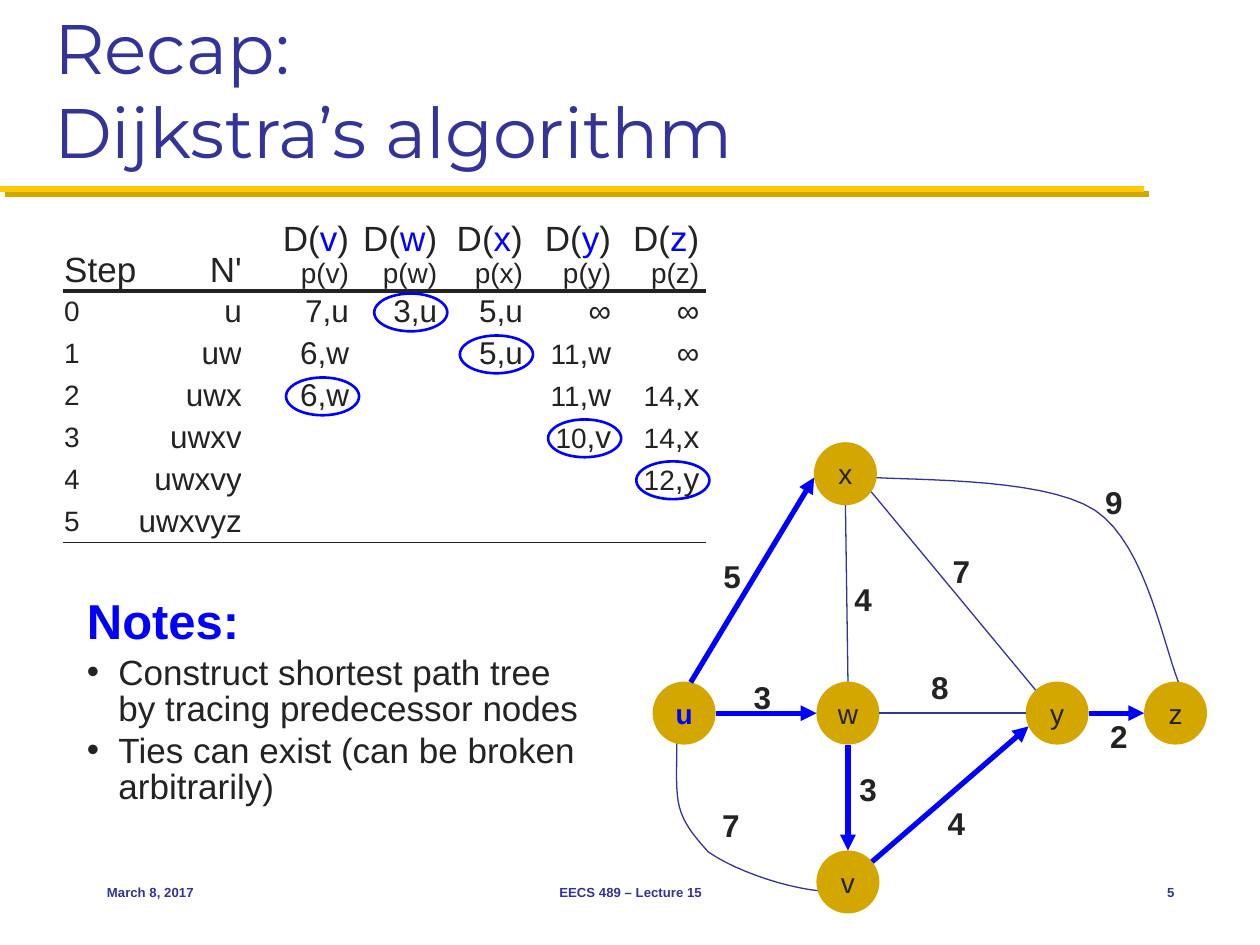
from dataclasses import dataclass
from math import cos, radians, sin

from lxml import etree
from pptx import Presentation
from pptx import util as u
from pptx.dml.color import RGBColor
from pptx.enum import shapes, text
from pptx.oxml.ns import qn

COLUMNS, ROWS = 100, 75
GRID = u.Inches(0.1)


@dataclass(frozen=True)
class Theme:
    ink: str = "232323"
    navy: str = "333399"
    blue: str = "0000FF"
    yellow: str = "FFCB05"
    gold: str = "D3A600"
    font: str = "Arial"
    title_font: str = "Montserrat"
    title: float = 40
    heading: float = 28
    body: float = 20
    cell: float = 18
    small: float = 16
    footer: float = 7.5


@dataclass(frozen=True)
class Box:
    """Region in grid units."""
    left: float
    top: float
    width: float
    height: float

    def point(self, x, y):
        return cells(self.left + x), cells(self.top + y)

    def frame(self):
        return *self.point(0, 0), cells(self.width), cells(self.height)


THEME = Theme()
LEFT, CENTER, RIGHT = text.PP_ALIGN.LEFT, text.PP_ALIGN.CENTER, text.PP_ALIGN.RIGHT

TABLE_WIDTHS = [5.8, 8.3, 9, 7, 6.8, 7, 7]
HEADER_ROW, BODY_ROW = 6.6, 3.33
STEPS = [
    ["0", "u", "7,u", "3,u", "5,u", "∞", "∞"],
    ["1", "uw", "6,w", "", "5,u", "11,w", "∞"],
    ["2", "uwx", "6,w", "", "", "11,w", "14,x"],
    ["3", "uwxv", "", "", "", "10,v", "14,x"],
    ["4", "uwxvy", "", "", "", "", "12,y"],
    ["5", "uwxvyz", "", "", "", "", ""],
]
CHOSEN_COLUMNS = [3, 4, 2, 5, 6]  # chosen entry in each step

RADIUS = 2.5
NODES = {"x": (15.3, 2.5), "u": (2.5, 21.5), "z": (41.5, 21.5),
         "v": (15.5, 34.9), "y": (32.1, 21.5), "w": (15.5, 21.5)}
# start node, angle at start, end node, angle at end
PLAIN_EDGES = [("x", 270, "w", 90), ("w", 0, "y", 180), ("x", -35, "y", 133)]
TREE_EDGES = [("u", 78, "x", 187), ("u", 0, "w", 180), ("w", 270, "v", 90),
              ("v", 40, "y", 205), ("y", 0, "z", 180)]
CURVES = [
    [(16.2, 2.7), (19.3, 3.1), (30.8, 2.6), (35.1, 5.4),
     (39.3, 8.2), (40.6, 16.7), (42, 19.7)],
    [(1.9, 22.6), (2, 28.5), (1.3, 29.1), (4.4, 32.5),
     (7.5, 34.7), (14.6, 36.5), (15.5, 35.2)],
]
WEIGHTS = [("3", 8.7, 20.2), ("4", 16.7, 12.4), ("5", 6.3, 10.6),
           ("3", 17.1, 27.5), ("7", 6.2, 30.4), ("4", 24.1, 30.2),
           ("8", 22.8, 19.4), ("2", 37, 23.3), ("7", 24.5, 10.2), ("9", 36.6, 4.7)]


def cells(count):
    return u.Emu(round(count * GRID))


def style(font, size, color=THEME.ink, bold=False, name=THEME.font):
    font.name, font.size, font.bold = name, u.Pt(size), bold
    font.color.rgb = RGBColor.from_string(color)


def write(paragraph, *parts, align=RIGHT):
    """Add (text, size, colour) runs to a paragraph."""
    paragraph.alignment = align
    for words, size, color in parts:
        run = paragraph.add_run()
        run.text = words
        style(run.font, size, color)


def add_label(slide, box, words, size, color=THEME.ink, align=CENTER):
    frame = slide.shapes.add_textbox(*box.frame()).text_frame
    frame.word_wrap = True
    frame.vertical_anchor = text.MSO_ANCHOR.MIDDLE
    frame.text = words
    frame.paragraphs[0].alignment = align
    style(frame.paragraphs[0].runs[0].font, size, color, bold=True)


def add_line(slide, start, end, color, width):
    line = slide.shapes.add_connector(shapes.MSO_CONNECTOR.STRAIGHT, *start, *end)
    line.line.color.rgb = RGBColor.from_string(color)
    line.line.width = u.Pt(width)
    effects = etree.SubElement(line._element.spPr, qn("a:effectLst"))
    return line, effects


def add_ellipse(slide, box, fill=None, outline=None):
    ellipse = slide.shapes.add_shape(shapes.MSO_SHAPE.OVAL, *box.frame())
    ellipse.shadow.inherit = False
    for part, color in ((ellipse.fill, fill), (ellipse.line.fill, outline)):
        if color:
            part.solid()
            part.fore_color.rgb = RGBColor.from_string(color)
        else:
            part.background()
    if outline:
        ellipse.line.width = u.Pt(1.5)
    return ellipse


def add_title(slide, box, rule_box):
    title = slide.shapes.title
    title.left, title.top, title.width, title.height = box.frame()
    frame = title.text_frame
    frame.text = "Recap:\vDijkstra’s algorithm"
    frame.auto_size = text.MSO_AUTO_SIZE.NONE
    frame.vertical_anchor = text.MSO_ANCHOR.BOTTOM
    frame.paragraphs[0].alignment = LEFT
    for run in frame.paragraphs[0].runs:
        style(run.font, THEME.title, THEME.navy, name=THEME.title_font)
    _, effects = add_line(slide, rule_box.point(0, 0), rule_box.point(rule_box.width, 0),
                          THEME.yellow, 3.5)
    shadow = etree.SubElement(effects, qn("a:outerShdw"), dist=str(u.Pt(4.2)),
                              dir="2700000", algn="ctr", rotWithShape="0")
    etree.SubElement(shadow, qn("a:srgbClr"), val=THEME.gold)


def fill_cell(cell, words, column, border):
    cell.margin_left = u.Inches(0)
    cell.margin_right = u.Inches(0.05 if column > 1 else 0)
    cell.margin_top = cell.margin_bottom = u.Inches(0.01)
    cell.vertical_anchor = text.MSO_ANCHOR.MIDDLE
    cell.fill.background()
    line = etree.Element(qn("a:lnB"), w=str(u.Pt(border)))
    color = etree.SubElement(etree.SubElement(line, qn("a:solidFill")), qn("a:srgbClr"))
    color.set("val", THEME.ink)
    cell._tc.get_or_add_tcPr().insert(0, line)
    if words:
        digits = words[:2] if words[:2].isdigit() else ""
        parts = [(digits, THEME.small, THEME.ink)] if digits else []
        parts.append((words[len(digits):], THEME.cell, THEME.ink))
        write(cell.text_frame.paragraphs[0], *parts, align=RIGHT if column else LEFT)


def add_step_table(slide, box):
    table = slide.shapes.add_table(len(STEPS) + 1, len(TABLE_WIDTHS), *box.frame()).table
    table.first_row = table.horz_banding = False
    for column, width in zip(table.columns, TABLE_WIDTHS):
        column.width = cells(width)
    for index, row in enumerate(table.rows):
        row.height = cells(BODY_ROW if index else HEADER_ROW)
    for column, name in enumerate(["Step", "N'", *"vwxyz"]):
        cell = table.cell(0, column)
        fill_cell(cell, "", column, 2.25)
        cell.vertical_anchor = text.MSO_ANCHOR.BOTTOM
        first = cell.text_frame.paragraphs[0]
        if column < 2:
            write(first, (name, THEME.body, THEME.ink), align=RIGHT if column else LEFT)
        else:
            write(first, ("D(", THEME.body, THEME.ink), (name, THEME.body, THEME.blue),
                  (")", THEME.body, THEME.ink))
            write(cell.text_frame.add_paragraph(), (f"p({name})", THEME.small, THEME.ink))
    for row, step in enumerate(STEPS, 1):
        for column, words in enumerate(step):
            fill_cell(table.cell(row, column), words, column, 1)
    for row, column in enumerate(CHOSEN_COLUMNS):
        left = box.left + sum(TABLE_WIDTHS[:column + 1]) - 5.5
        top = box.top + HEADER_ROW + row * BODY_ROW + 0.2
        add_ellipse(slide, Box(left, top, 5.8, 3), outline=THEME.blue)


def add_notes_list(slide, box):
    body = slide.placeholders[1]
    body.left, body.top, body.width, body.height = box.frame()
    frame = body.text_frame
    frame.text = ("Notes:\nConstruct shortest path tree by tracing predecessor nodes\n"
                  "Ties can exist (can be broken arbitrarily)")
    frame.auto_size = text.MSO_AUTO_SIZE.NONE
    for index, paragraph in enumerate(frame.paragraphs):
        paragraph.line_spacing = 0.85
        paragraph.space_before = u.Pt(4 if index else 0)
        properties = paragraph._p.get_or_add_pPr()
        indent = u.Inches(0.25 if index else 0)
        properties.set("marL", str(indent))
        properties.set("indent", str(-indent))
        if index:
            etree.SubElement(properties, qn("a:buChar"), char="•")
            style(paragraph.runs[0].font, THEME.body)
        else:
            etree.SubElement(properties, qn("a:buNone"))
            style(paragraph.runs[0].font, THEME.heading, THEME.blue, bold=True)


def rim_point(box, node, angle):
    x, y = NODES[node]
    return box.point(x + RADIUS * cos(radians(angle)), y - RADIUS * sin(radians(angle)))


def add_curve(slide, box, controls, steps=16):
    """Draw joined cubic Bézier pieces as one smooth outline."""
    points = []
    for first in range(0, len(controls) - 1, 3):
        for step in range(steps + 1):
            t = step / steps
            weights = ((1 - t) ** 3, 3 * t * (1 - t) ** 2, 3 * t * t * (1 - t), t ** 3)
            piece = controls[first:first + 4]
            points.append(box.point(*(sum(w * p[axis] for w, p in zip(weights, piece))
                                      for axis in (0, 1))))
    builder = slide.shapes.build_freeform(*points[0])
    builder.add_line_segments(points[1:], close=False)
    curve = builder.convert_to_shape()
    curve.shadow.inherit = False
    curve.fill.background()
    curve.line.color.rgb = RGBColor.from_string(THEME.navy)
    curve.line.width = u.Pt(0.75)


def add_graph(slide, box):
    for controls in CURVES:
        add_curve(slide, box, controls)
    for name, (x, y) in NODES.items():
        node = add_ellipse(slide, Box(box.left + x - RADIUS, box.top + y - RADIUS,
                                      2 * RADIUS, 2 * RADIUS), fill=THEME.gold)
        frame = node.text_frame
        frame.word_wrap = False
        frame.text = name
        frame.paragraphs[0].alignment = CENTER
        source = name == "u"
        style(frame.paragraphs[0].runs[0].font, THEME.small,
              THEME.blue if source else THEME.ink, bold=source)
    for edges, color, width in ((PLAIN_EDGES, THEME.navy, 0.75), (TREE_EDGES, THEME.blue, 3)):
        for start, leaving, end, arriving in edges:
            line, _ = add_line(slide, rim_point(box, start, leaving),
                               rim_point(box, end, arriving), color, width)
            if edges is TREE_EDGES:
                etree.SubElement(line.line._get_or_add_ln(), qn("a:tailEnd"), type="triangle")
    for weight, x, y in WEIGHTS:
        add_label(slide, Box(box.left + x - 1.7, box.top + y - 2, 3.4, 4), weight, THEME.cell)


def add_footer(slide, box):
    for words, left, width, align in (("March 8, 2017", 0, 20.8, LEFT),
                                      ("EECS 489 – Lecture 15", 26.7, 31.7, CENTER),
                                      ("5", 80, 6.7, RIGHT)):
        add_label(slide, Box(box.left + left, box.top, width, box.height), words,
                  THEME.footer, THEME.navy, align)


def main():
    presentation = Presentation()
    presentation.slide_width, presentation.slide_height = cells(COLUMNS), cells(ROWS)
    slide = presentation.slides.add_slide(presentation.slide_layouts[1])
    add_title(slide, Box(3.3, 1.7, 93.3, 12.5), Box(0, 15, 90.8, 0))
    add_step_table(slide, Box(5.1, 16.5, sum(TABLE_WIDTHS), HEADER_ROW + 6 * BODY_ROW))
    add_notes_list(slide, Box(5.9, 47.1, 41.7, 26.2))
    add_graph(slide, Box(51.8, 35.1, 44, 37.4))
    add_footer(slide, Box(7.5, 68.3, 86.7, 5))
    presentation.save("out.pptx")


if __name__ == "__main__":
    main()
